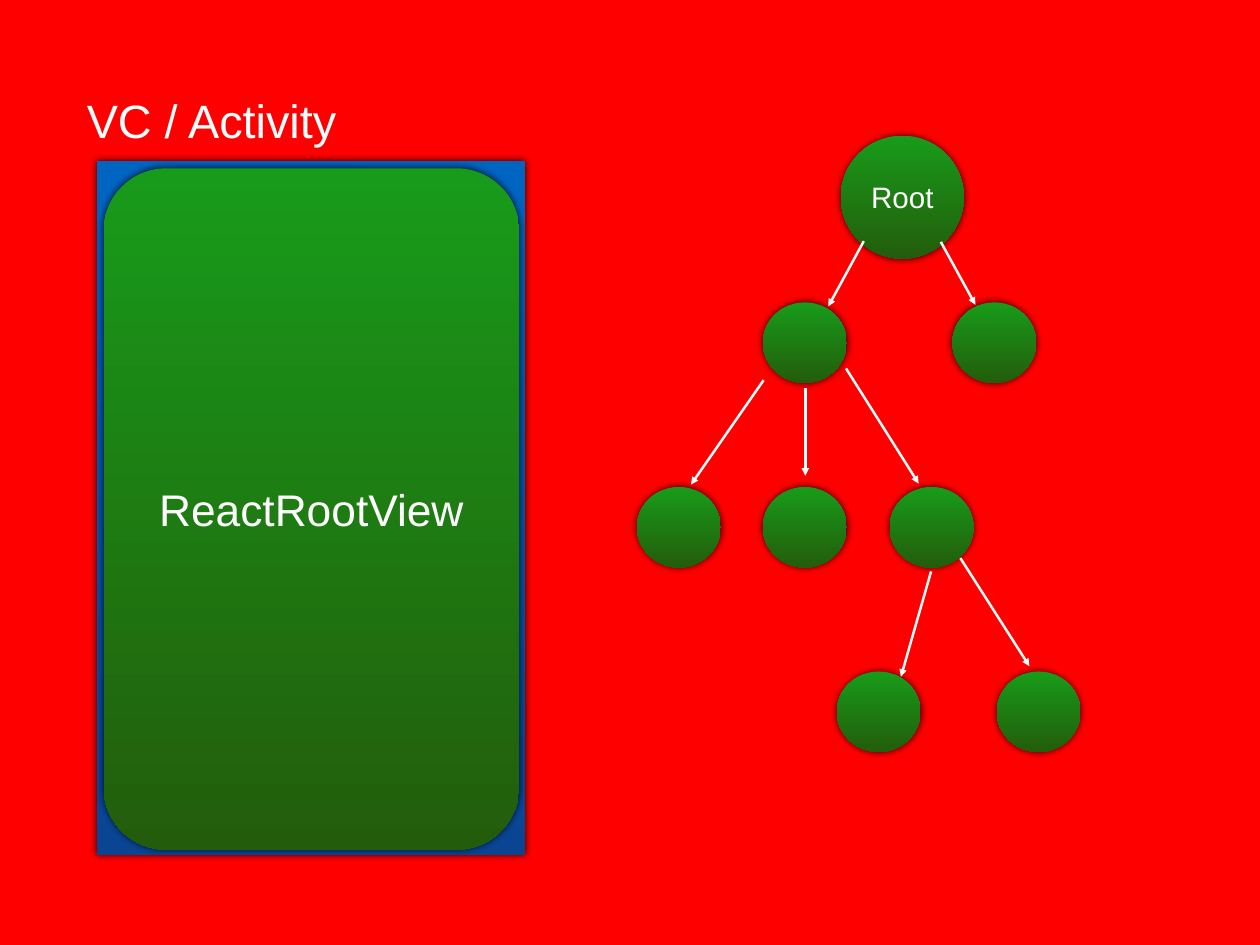
from pptx import Presentation, util as u
from pptx.dml.color import RGBColor
from pptx.enum import shapes as s, text as t
from pptx.oxml import parse_xml
from pptx.oxml.ns import nsdecls, qn
from lxml import etree

HUE = {"red": "FF0000", "white": "FFFFFF", "black": "000000",
       "blue": ("0065C1", "094593"), "green": ("189B1A", "235D0B")}
COLS, ROWS = 1024, 768

deck = Presentation()
deck.slide_width, deck.slide_height = u.Inches(14.22), u.Inches(10.67)
col, row = deck.slide_width / COLS, deck.slide_height / ROWS
slide = deck.slides.add_slide(deck.slide_layouts[6])
slide.background.fill.solid()
slide.background.fill.fore_color.rgb = RGBColor.from_string(HUE["red"])


def label(shape, words, size):
    frame = shape.text_frame
    frame.margin_left = frame.margin_right = u.Inches(0.06)
    frame.margin_top = frame.margin_bottom = u.Inches(0.06)
    frame.vertical_anchor = t.MSO_ANCHOR.MIDDLE
    para = frame.paragraphs[0]
    para.text = words
    para.alignment = t.PP_ALIGN.CENTER
    para.font.size, para.font.name = u.Pt(size), "Arial"
    para.font.color.rgb = RGBColor.from_string(HUE["white"])


def block(kind, x, y, wide, high, hue="green"):
    """Add a shape with a top-to-bottom gradient and a soft shadow."""
    shape = slide.shapes.add_shape(
        kind, round(x * col), round(y * row), round(wide * col), round(high * row))
    shape.fill.gradient()
    shape.fill.gradient_angle = 270
    for stop, tone in zip(shape.fill.gradient_stops, HUE[hue]):
        stop.color.rgb = RGBColor.from_string(tone)
    shape.line.fill.background()
    shape.shadow.inherit = False
    shape._element.spPr.find(qn("a:effectLst")).append(parse_xml(
        f'<a:outerShdw {nsdecls("a")} blurRad="{u.Pt(6)}" dist="0" dir="18900000" '
        f'rotWithShape="0"><a:srgbClr val="{HUE["black"]}"><a:alpha val="80000"/>'
        '</a:srgbClr></a:outerShdw>'))
    return shape


# Screen with its root view
block(s.MSO_SHAPE.RECTANGLE, 78.5, 131, 348, 564, "blue")
view = block(s.MSO_SHAPE.ROUNDED_RECTANGLE, 84.2, 136.8, 337.7, 553.7)
view.adjustments[0] = 0.15
label(view, "ReactRootView", 36)

title = slide.shapes.add_textbox(
    round(65 * col), round(70 * row), round(214 * col), round(54 * row))
label(title, "VC / Activity", 38)
title.text_frame.word_wrap = False
title.text_frame.auto_size = t.MSO_AUTO_SIZE.SHAPE_TO_FIT_TEXT

# Tree of views
root = block(s.MSO_SHAPE.OVAL, 683.3, 110.2, 100, 100)
label(root, "Root", 24)
tiers = [(620, 774), (517.6, 620, 723), (680, 810)]
for tier, lefts in enumerate(tiers):
    for left in lefts:
        block(s.MSO_SHAPE.OVAL, left, 245.7 + 150 * tier, 68.2, 65.6)

# Arrows from parent to child
arrows = [(702, 196, 673.2, 249), (620.6, 309, 561.6, 393.8),
          (756.7, 464.4, 732.2, 550), (687.6, 299.5, 746.6, 393),
          (780.5, 453.6, 836.6, 541.4), (764.6, 196.6, 792.7, 247.7),
          (654.5, 315.4, 654.5, 386.6)]
for x1, y1, x2, y2 in arrows:
    arrow = slide.shapes.add_connector(
        s.MSO_CONNECTOR.STRAIGHT, round(x1 * col), round(y1 * row),
        round(x2 * col), round(y2 * row))
    arrow.line.width = u.Pt(2)
    arrow.line.color.rgb = RGBColor.from_string(HUE["white"])
    props = arrow._element.spPr
    etree.SubElement(props.find(qn("a:ln")), qn("a:tailEnd"), type="triangle")
    etree.SubElement(props, qn("a:effectLst"))

deck.save("out.pptx")
